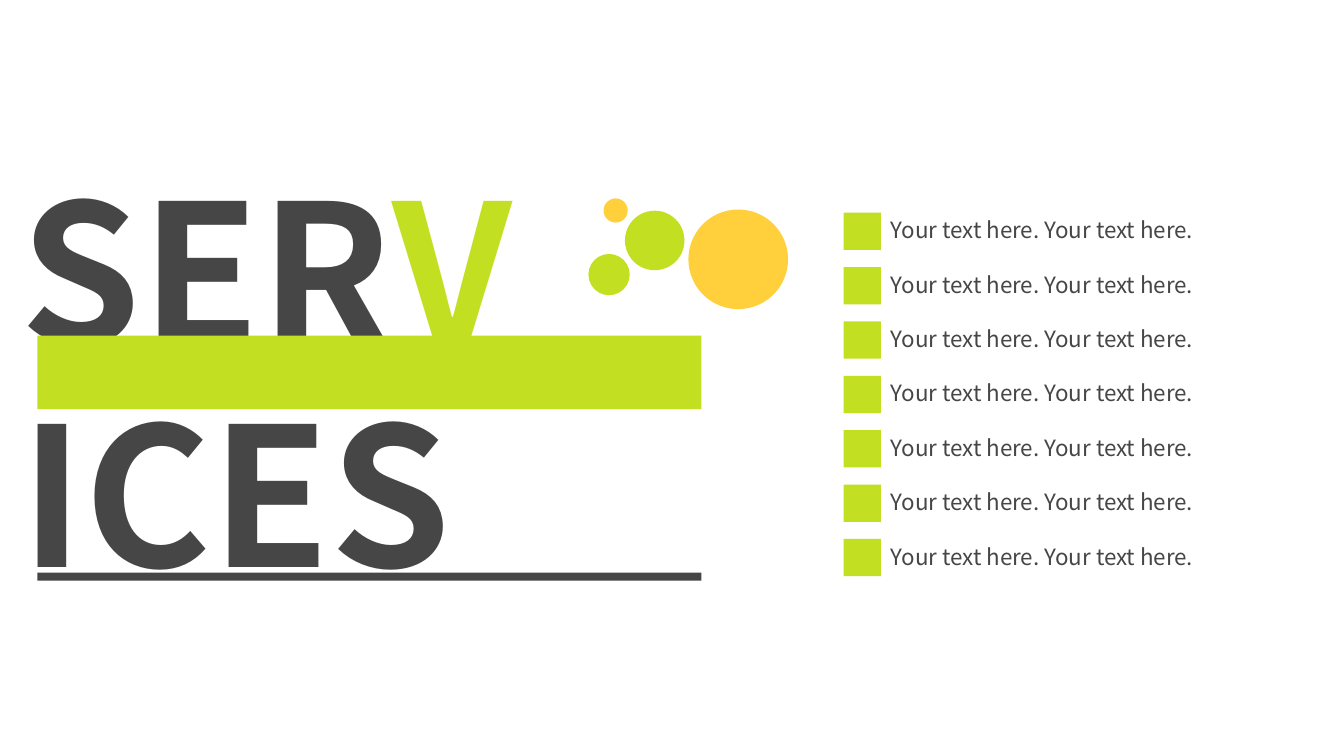
"""Build the services slide with a two-line headline and a seven-item list."""
import pptx
import pptx.dml.color
import pptx.enum.shapes
import pptx.enum.text
import pptx.util

Cm = pptx.util.Cm
RGBColor = pptx.dml.color.RGBColor
Kind = pptx.enum.shapes.MSO_SHAPE

GREY = RGBColor(0x46, 0x46, 0x46)
LIME = RGBColor(0xC3, 0xDF, 0x21)
AMBER = RGBColor(0xFF, 0xD0, 0x3B)
FONT = "Noto Sans CJK SC"

HEADLINE = [
    (3.68, [("SER", GREY), ("V", LIME)]),
    (9.32, [("ICES", GREY)]),
]
ITEMS = ["Your text here. Your text here."] * 7
BARS = [(14.43, 0.2, GREY), (8.46, 1.85, LIME)]
CIRCLES = [
    (17.35, 5.28, 2.51, AMBER),
    (15.75, 5.31, 1.5, LIME),
    (14.83, 6.4, 1.04, LIME),
    (15.21, 5, 0.61, AMBER),
]

HEADLINE_LEFT, HEADLINE_WIDTH, HEADLINE_HEIGHT = 0.28, 17.4, 6.15
BAR_LEFT, BAR_WIDTH = 0.94, 16.74
LIST_LEFT, LIST_TOP, LIST_PITCH = 21.26, 5.36, 1.37
MARKER_SIZE, ITEM_WIDTH = 0.94, 9.22


def add_text(slide, runs, left, top, width, height, size, bold=False):
    box = slide.shapes.add_textbox(Cm(left), Cm(top), Cm(width), Cm(height))
    frame = box.text_frame
    frame.word_wrap = True
    frame.auto_size = pptx.enum.text.MSO_AUTO_SIZE.SHAPE_TO_FIT_TEXT
    paragraph = frame.paragraphs[0]
    for text, color in runs:
        run = paragraph.add_run()
        run.text = text
        run.font.name = FONT
        run.font.size = pptx.util.Pt(size)
        run.font.bold = bold
        run.font.color.rgb = color


def add_block(slide, kind, left, top, width, height, color):
    shape = slide.shapes.add_shape(kind, Cm(left), Cm(top), Cm(width), Cm(height))
    shape.shadow.inherit = False
    shape.fill.solid()
    shape.fill.fore_color.rgb = color
    shape.line.fill.background()


def main():
    presentation = pptx.Presentation()
    presentation.slide_width = Cm(33.87)
    presentation.slide_height = Cm(19.05)
    slide = presentation.slides.add_slide(presentation.slide_layouts[6])

    for top, runs in HEADLINE:
        add_text(slide, runs, HEADLINE_LEFT, top, HEADLINE_WIDTH,
                 HEADLINE_HEIGHT, size=138, bold=True)
    for top, height, color in BARS:
        add_block(slide, Kind.RECTANGLE, BAR_LEFT, top, BAR_WIDTH, height, color)
    for index, item in enumerate(ITEMS):
        top = LIST_TOP + index * LIST_PITCH
        add_text(slide, [(item, GREY)], LIST_LEFT + MARKER_SIZE, top - 0.03,
                 ITEM_WIDTH, MARKER_SIZE, size=16)
        add_block(slide, Kind.RECTANGLE, LIST_LEFT, top,
                  MARKER_SIZE, MARKER_SIZE, LIME)
    for left, top, diameter, color in CIRCLES:
        add_block(slide, Kind.OVAL, left, top, diameter, diameter, color)

    presentation.save("out.pptx")


if __name__ == "__main__":
    main()
